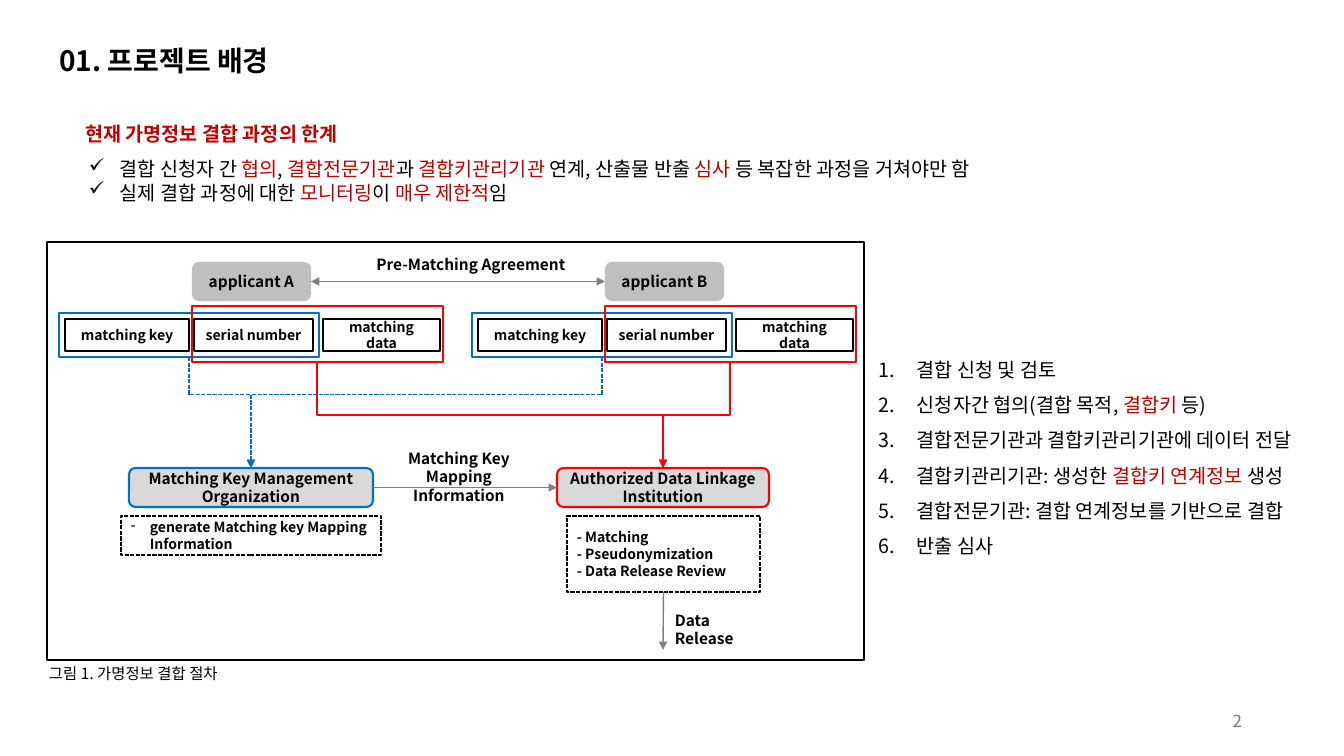
from dataclasses import dataclass

from lxml import etree
from pptx import Presentation
from pptx.dml.color import RGBColor
from pptx.enum.dml import MSO_LINE
from pptx.enum.shapes import MSO_CONNECTOR, MSO_SHAPE
from pptx.enum.text import MSO_ANCHOR, PP_ALIGN
from pptx.oxml.ns import qn
from pptx.util import Pt

RECT, ROUNDED = MSO_SHAPE.RECTANGLE, MSO_SHAPE.ROUNDED_RECTANGLE
STRAIGHT, ELBOW = MSO_CONNECTOR.STRAIGHT, MSO_CONNECTOR.ELBOW
LEFT, CENTER, RIGHT = PP_ALIGN.LEFT, PP_ALIGN.CENTER, PP_ALIGN.RIGHT
TOP, MIDDLE = MSO_ANCHOR.TOP, MSO_ANCHOR.MIDDLE
DASH = MSO_LINE.SQUARE_DOT
SIDE_LEFT, SIDE_BOTTOM, SIDE_RIGHT = 1, 2, 3
EMU_PER_PX = 914400 / 100.8


@dataclass(frozen=True)
class Theme:
    font: str = "Noto Sans CJK KR"
    black: str = "000000"
    accent: str = "C00000"
    muted: str = "797979"
    arrow: str = "808080"
    chip: str = "BFBFBF"
    agency: str = "D9D9D9"
    blue: str = "0070C0"
    red: str = "FF0000"
    title: int = 20
    body: int = 14
    number: int = 12
    label: int = 11
    small: int = 10
    thin: float = 1
    thick: float = 1.5


def px(length):
    return round(length * EMU_PER_PX)


class SlideBuilder:
    def __init__(self, page, theme):
        self.page = page
        self.theme = theme

    def fill_text(self, frame, lines, size, color=None, bold=False, align=LEFT,
                  anchor=TOP, wrap=True, bullet=None, indent=0, spacing=None):
        """Fill a text frame; parts between bars take the accent colour."""
        for name, value in {"word_wrap": wrap, "vertical_anchor": anchor}.items():
            setattr(frame, name, value)
        for index, line in enumerate(lines):
            para = frame.paragraphs[0] if index == 0 else frame.add_paragraph()
            if bullet:
                self.add_bullet(para, bullet, indent)
            for name, value in {"alignment": align, "line_spacing": spacing}.items():
                setattr(para, name, value)
            for part, words in enumerate(line.split("|")):
                if words:
                    tint = self.theme.accent if part % 2 else color or self.theme.black
                    self.add_span(para, words, size, tint, bold)

    def add_span(self, para, words, size, color, bold):
        span = para.add_run()
        span.text = words
        span.font.color.rgb = RGBColor.from_string(color)
        values = {"name": self.theme.font, "size": Pt(size), "bold": bold}
        for name, value in values.items():
            setattr(span.font, name, value)
        east_asian = etree.SubElement(span._r.get_or_add_rPr(), qn("a:ea"))
        east_asian.set("typeface", self.theme.font)

    def add_bullet(self, para, bullet, indent):
        properties = para._p.get_or_add_pPr()
        properties.set("marL", str(px(indent)))
        properties.set("indent", str(-px(indent)))
        if bullet == "1.":
            etree.SubElement(properties, qn("a:buAutoNum")).set("type", "arabicPeriod")
        else:
            etree.SubElement(properties, qn("a:buChar")).set("char", bullet)

    def text(self, area, lines, size, **style):
        box = self.page.shapes.add_textbox(*map(px, area))
        self.fill_text(box.text_frame, lines, size, **style)

    def shape(self, kind, area, lines=(), size=None, fill=None, line=None,
              width=None, dash=None, align=CENTER, **style):
        shape = self.page.shapes.add_shape(kind, *map(px, area))
        shape.shadow.inherit = False
        if fill:
            shape.fill.solid()
            shape.fill.fore_color.rgb = RGBColor.from_string(fill)
        else:
            shape.fill.background()
        if line:
            self.style_line(shape.line, line, width or self.theme.thin, dash)
        else:
            shape.line.fill.background()
        self.fill_text(shape.text_frame, lines, size, bold=True, align=align,
                       anchor=MIDDLE, **style)
        return shape

    def style_line(self, line, color, width, dash=None):
        line.color.rgb = RGBColor.from_string(color)
        for name, value in {"width": Pt(width), "dash_style": dash}.items():
            setattr(line, name, value)

    def connector(self, kind, points, color, dash=None, both=False):
        link = self.page.shapes.add_connector(kind, *map(px, points))
        self.style_line(link.line, color, self.theme.thin, dash)
        properties = link._element.spPr
        outline = properties.find(qn("a:ln"))
        for end in ("headEnd", "tailEnd") if both else ("tailEnd",):
            etree.SubElement(outline, qn(f"a:{end}")).set("type", "triangle")
        etree.SubElement(properties, qn("a:effectLst"))
        return link

    def arrow(self, points, start=None, finish=None, both=False):
        link = self.connector(STRAIGHT, points, self.theme.arrow, both=both)
        if start:
            link.begin_connect(*start)
        if finish:
            link.end_connect(*finish)

    def drop(self, start, finish, bend, color, dash=None):
        """Elbow that runs down, across and down; bend is the share of its height."""
        (x1, y1), (x2, y2) = start, finish
        across, down = abs(x2 - x1), y2 - y1
        left, top = (x1 + x2 - down) / 2, (y1 + y2 - across) / 2
        link = self.connector(ELBOW, (left, top, left + down, top + across), color, dash)
        frame = link._element.spPr.find(qn("a:xfrm"))
        frame.set("rot", str((270 if x2 > x1 else 90) * 60000))
        if x2 > x1:
            frame.set("flipH", "1")
        geometry = link._element.spPr.find(qn("a:prstGeom"))
        guides = geometry.find(qn("a:avLst"))
        if guides is None:
            guides = etree.SubElement(geometry, qn("a:avLst"))
        guide = etree.SubElement(guides, qn("a:gd"))
        guide.set("name", "adj1")
        guide.set("fmla", f"val {round(bend * 100000)}")


def main():
    deck = Presentation()
    deck.slide_width, deck.slide_height = px(1344), px(756)
    theme = Theme()
    slide = SlideBuilder(deck.slides.add_slide(deck.slide_layouts[6]), theme)

    # Title, heading and key points
    slide.text((39, 39, 250, 44), ["01. 프로젝트 배경"], theme.title,
               bold=True, align=CENTER, wrap=False)
    slide.text((59, 117, 305, 34), ["현재 가명정보 결합 과정의 한계"], theme.body,
               color=theme.accent, bold=True, align=CENTER, wrap=False)
    slide.text((79, 152, 1009, 57), [
        "결합 신청자 간 |협의|, |결합전문기관|과 |결합키관리기관| 연계, 산출물 반출 |심사| 등 복잡한 과정을 거쳐야만 함",
        "실제 결합 과정에 대한 |모니터링|이 |매우 제한적|임",
    ], theme.body, wrap=False, bullet="✓", indent=31)

    # Diagram frame and caption
    slide.shape(RECT, (47, 242, 817, 418), line=theme.black)
    slide.text((39, 659, 210, 29), ["그림 1. 가명정보 결합 절차"], theme.label, wrap=False)

    # Agencies and their tasks
    manager = slide.shape(ROUNDED, (129, 468, 244, 39),
                          ["Matching Key Management Organization"], theme.label,
                          fill=theme.agency, line=theme.blue, width=theme.thick)
    linker = slide.shape(ROUNDED, (557, 468, 212, 39),
                         ["Authorized Data Linkage Institution"], theme.label,
                         fill=theme.agency, line=theme.red, width=theme.thick)
    slide.shape(RECT, (121, 516, 260, 39), ["generate Matching key Mapping Information"],
                theme.small, line=theme.black, dash=DASH, align=LEFT,
                bullet="-", indent=19)
    tasks = slide.shape(RECT, (567, 516, 193, 76),
                        ["- Matching", "- Pseudonymization", "- Data Release Review"],
                        theme.small, line=theme.black, dash=DASH, align=LEFT)

    # Applicants, their data fields and the flows to the agencies
    applicants = []
    for index, name in enumerate("AB"):
        shift = index * 413
        applicants.append(slide.shape(ROUNDED, (192 + shift, 262, 119, 39),
                                      [f"applicant {name}"], theme.label,
                                      fill=theme.chip))
        for field, left, width in (("matching key", 65, 124),
                                   ("serial number", 194, 119),
                                   ("matching data", 323, 117)):
            slide.shape(RECT, (left + shift, 319, width, 32), [field], theme.small,
                        line=theme.black)
        for area, color in (((59 + shift, 313, 260, 44), theme.blue),
                            ((192 + shift, 306, 251, 56), theme.red)):
            slide.shape(RECT, area, line=color, width=theme.thick)
        slide.drop((189 + shift, 357), (251, 468), 0.34, theme.blue, DASH)
        slide.drop((317 + shift, 362), (663, 468), 0.5, theme.red)

    # Arrows and their labels
    slide.arrow((311, 281, 605, 281), (applicants[0], SIDE_RIGHT),
                (applicants[1], SIDE_LEFT), both=True)
    slide.arrow((373, 488, 557, 488), (manager, SIDE_RIGHT), (linker, SIDE_LEFT))
    slide.arrow((663, 592, 663, 650), (tasks, SIDE_BOTTOM))
    for area, lines, align in (
            ((361, 250, 220, 29), ["Pre-Matching Agreement"], CENTER),
            ((394, 444, 130, 66), ["Matching Key", "Mapping Information"], CENTER),
            ((665, 606, 90, 48), ["Data Release"], LEFT)):
        slide.text(area, lines, theme.label, bold=True, align=align)

    # Procedure steps
    slide.text((869, 341, 475, 220), [
        "결합 신청 및 검토",
        "신청자간 협의(결합 목적, |결합키| 등)",
        "결합전문기관과 결합키관리기관에 데이터 전달",
        "결합키관리기관: 생성한 |결합키 연계정보 |생성",
        "결합전문기관: 결합 연계정보를 기반으로 결합",
        "반출 심사",
    ], theme.body, bullet="1.", indent=38, spacing=1.5)

    # Page number
    slide.text((950, 701, 302, 40), ["2"], theme.number, color=theme.muted,
               align=RIGHT, anchor=MIDDLE)
    deck.save("out.pptx")


if __name__ == "__main__":
    main()
